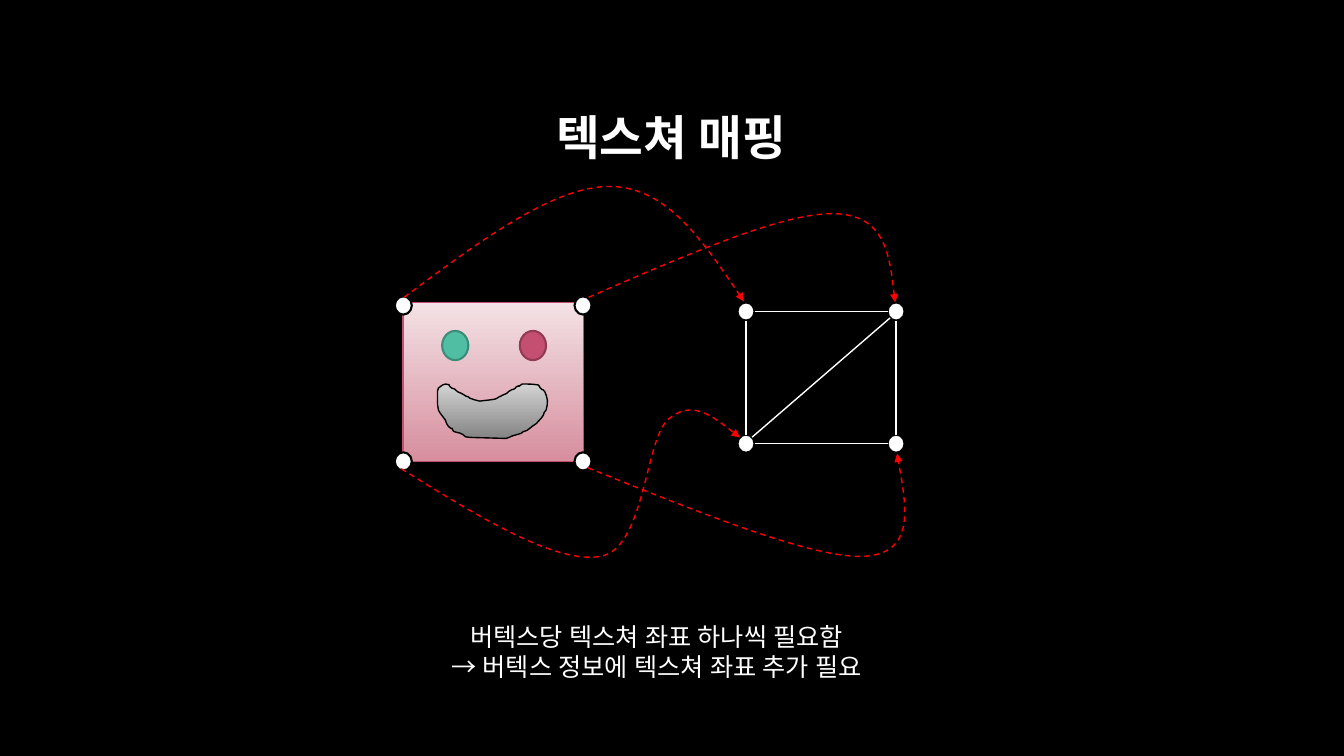
"""Build the texture mapping slide: a textured face mapped onto a two-triangle quad."""
from dataclasses import dataclass
from itertools import product

from lxml import etree
from pptx import Presentation
from pptx import util as u
from pptx.dml.color import RGBColor
from pptx.enum import dml, shapes, text
from pptx.oxml import ns

Point = tuple[float, float]


@dataclass(frozen=True)
class Theme:
    """Colours, font and type sizes of the slide."""
    font: str = "Roboto Slab"
    title_size: float = 34
    note_size: float = 18
    background: str = "000000"
    foreground: str = "FFFFFF"
    mapping: str = "FF0000"
    outline: str = "000000"
    face: tuple[str, str] = ("F3E2E5", "D78E9E")
    face_line: str = "C54F71"
    mouth: tuple[str, str] = ("D3D3D3", "848484")


@dataclass(frozen=True)
class Disc:
    """An ellipse given by its centre and size."""
    centre: Point
    size: Point
    fill: str
    line: str


@dataclass(frozen=True)
class Quad:
    """Four corner vertices on two columns and two rows."""
    columns: Point
    rows: Point


@dataclass(frozen=True)
class Curve:
    """A chain of segments: x, y of an end, or of two controls and an end."""
    start: Point
    segments: tuple[tuple[float, ...], ...]
    origin: Point = (0, 0)
    unit: float = 1

    def place(self, x: float, y: float) -> Point:
        """Turn curve coordinates into slide lengths."""
        return u.Pt(self.origin[0] + x * self.unit), u.Pt(self.origin[1] + y * self.unit)


THEME = Theme()
VERTEX_SIZE = (12.2, 13)
EYE_SIZE = (18.7, 20.9)
TEXTURE = Quad((288.1, 416.5), (218.2, 329.6))
MESH = Quad((532.9, 640.1), (222.5, 316.9))
EYES = (
    Disc((325.2, 246.8), EYE_SIZE, "50BEA3", "3B8D79"),
    Disc((380.7, 246.8), EYE_SIZE, "C54F71", "923A54"),
)
MOUTH = Curve((8, 36), (
    (6, 33, 3, 30, 1, 26), (0, 20), (0, 16, 0, 12, 0, 7), (1, 6, 1, 5, 1, 4),
    (2, 3, 4, 2, 5, 1), (6, 1, 7, 0, 8, 0), (16, 2, 8, -1, 14, 4), (15, 5, 16, 5, 17, 5),
    (19, 7, 21, 9, 23, 9), (25, 10, 27, 11, 28, 12), (30, 12, 31, 13, 32, 14),
    (37, 16, 38, 16, 42, 17), (49, 16, 52, 16, 57, 15), (62, 13, 58, 14, 63, 12),
    (64, 11, 68, 10, 69, 9), (70, 8, 71, 7, 73, 6), (74, 6, 75, 5, 76, 5),
    (77, 5, 77, 4, 78, 3), (86, -1, 76, 6, 84, 0), (89, 0, 95, 0, 100, 1),
    (101, 1, 101, 3, 102, 4), (103, 5, 104, 6, 105, 6), (106, 7, 107, 8, 107, 9),
    (108, 11, 109, 16, 109, 16), (109, 19, 109, 22, 108, 25), (108, 26, 107, 27, 106, 28),
    (106, 29, 106, 30, 105, 31), (104, 33, 102, 35, 100, 37), (99, 38, 98, 40, 97, 40),
    (96, 41, 95, 41, 94, 42), (92, 43, 91, 45, 89, 46), (88, 46, 87, 46, 86, 47),
    (85, 47, 84, 48, 83, 49), (81, 50, 78, 50, 76, 51), (75, 51, 73, 52, 71, 53),
    (68, 54), (33, 53), (24, 52, 30, 53, 25, 50), (23, 49, 21, 48, 19, 48), (16, 47),
    (12, 40, 17, 47, 12, 43), (10, 42, 8, 37, 8, 36),
), origin=(312.5, 274.3), unit=0.72)
MAPPINGS = (
    Curve((288.7, 212.4), ((342.7, 172.1, 396, 132.5, 436.3, 133.2),
                           (476.6, 133.9, 504, 175, 531.4, 215.3))),
    Curve((420.5, 212.4), ((489.6, 182.2, 559.4, 151.9, 595.4, 152.6),
                           (632.2, 153.4, 635.8, 184.3, 639.4, 216))),
    Curve((286.6, 334.8), ((342, 369.4, 397.4, 403.2, 429.1, 397.4),
                           (460.8, 391.7, 460.8, 313.2, 477.4, 299.5),
                           (493.9, 285.1, 511.2, 298.8, 528.5, 312.5))),
    Curve((419.8, 334.1), ((500.4, 366.5, 580.3, 398.9, 617, 397.4),
                           (653.8, 395.3, 647.3, 360, 640.8, 324))),
)


def colour(value: str) -> RGBColor:
    """Turn a hex string into a colour."""
    return RGBColor.from_string(value)


def set_line(line, value: str, width: float) -> None:
    """Give a line its colour and width."""
    line.color.rgb = colour(value)
    line.width = u.Pt(width)


def set_gradient(shape, stops: tuple[str, str]) -> None:
    """Fill a shape from top to bottom."""
    shape.fill.gradient()
    shape.fill.gradient_angle = 270
    for stop, value, position in zip(shape.fill.gradient_stops, stops, (0, 1)):
        stop.color.rgb = colour(value)
        stop.position = position


def add_disc(slide, disc: Disc) -> None:
    """Draw an outlined ellipse."""
    width, height = disc.size
    left, top = disc.centre[0] - width / 2, disc.centre[1] - height / 2
    shape = slide.shapes.add_shape(shapes.MSO_SHAPE.OVAL, u.Pt(left), u.Pt(top),
                                   u.Pt(width), u.Pt(height))
    shape.shadow.inherit = False
    shape.fill.solid()
    shape.fill.fore_color.rgb = colour(disc.fill)
    set_line(shape.line, disc.line, 1.5)


def add_vertices(slide, quad: Quad) -> None:
    """Mark each corner of a quad."""
    for y, x in product(quad.rows, quad.columns):
        add_disc(slide, Disc((x, y), VERTEX_SIZE, THEME.foreground, THEME.outline))


def add_curve(slide, curve: Curve, close: bool):
    """Draw a freeform whose long segments are cubic."""
    builder = slide.shapes.build_freeform(*curve.place(*curve.start), scale=1.0)
    builder.add_line_segments([curve.place(*part[-2:]) for part in curve.segments], close=close)
    shape = builder.convert_to_shape()
    shape.shadow.inherit = False
    steps = list(shape._element.spPr.iter(ns.qn("a:lnTo")))
    for step, part in zip(steps, curve.segments):
        if len(part) == 2:
            continue
        step.tag = ns.qn("a:cubicBezTo")
        controls = [curve.place(*part[:2]), curve.place(*part[2:4])]
        for index, (x, y) in enumerate(controls):
            control = etree.Element(ns.qn("a:pt"), x=str(x - shape.left), y=str(y - shape.top))
            step.insert(index, control)
    return shape


def add_face(slide) -> None:
    """Draw the texture: a square face with eyes and a mouth."""
    face = slide.shapes.add_shape(shapes.MSO_SHAPE.RECTANGLE, u.Pt(287.8), u.Pt(216),
                                  u.Pt(128.9), u.Pt(113.9))
    face.shadow.inherit = False
    set_gradient(face, THEME.face)
    set_line(face.line, THEME.face_line, 1)
    for eye in EYES:
        add_disc(slide, eye)
    mouth = add_curve(slide, MOUTH, close=True)
    set_gradient(mouth, THEME.mouth)
    set_line(mouth.line, THEME.outline, 1)


def add_edge(slide, start: Point, end: Point) -> None:
    """Draw one mesh edge."""
    edge = slide.shapes.add_connector(shapes.MSO_CONNECTOR.STRAIGHT, *map(u.Pt, start + end))
    set_line(edge.line, THEME.foreground, 1)
    etree.SubElement(edge._element.spPr, ns.qn("a:effectLst"))


def add_mesh(slide) -> None:
    """Draw the quad's vertices, sides and diagonal."""
    add_vertices(slide, MESH)
    (left, right), (top, bottom) = MESH.columns, MESH.rows
    gap_x, gap_y = VERTEX_SIZE[0] / 2, VERTEX_SIZE[1] / 2
    for x, y in zip(MESH.columns, MESH.rows):
        add_edge(slide, (x, top + gap_y), (x, bottom - gap_y))
        add_edge(slide, (left + gap_x, y), (right - gap_x, y))
    add_edge(slide, (left + 4.3, bottom - 4.6), (right - 4.3, top + 4.6))


def add_mapping(slide, curve: Curve) -> None:
    """Draw a dashed arrow from a texture corner to a mesh vertex."""
    arrow = add_curve(slide, curve, close=False)
    arrow.fill.background()
    set_line(arrow.line, THEME.mapping, 1)
    arrow.line.dash_style = dml.MSO_LINE.DASH
    line = arrow._element.spPr.find(ns.qn("a:ln"))
    etree.SubElement(line, ns.qn("a:tailEnd"), type="triangle")


def set_text(shape, box: tuple[float, ...], wording: str, size: float, bold: bool) -> None:
    """Place a shape and give it centred text."""
    shape.left, shape.top, shape.width, shape.height = map(u.Pt, box)
    frame = shape.text_frame
    frame.text = wording
    frame.word_wrap = True
    for paragraph in frame.paragraphs:
        paragraph.alignment = text.PP_ALIGN.CENTER
        for run in paragraph.runs:
            run.font.name, run.font.size, run.font.bold = THEME.font, u.Pt(size), bold
            run.font.color.rgb = colour(THEME.foreground)
            etree.SubElement(run.font._element, ns.qn("a:ea"), typeface=THEME.font)


def main() -> None:
    """Build and save the presentation."""
    presentation = Presentation()
    presentation.slide_width, presentation.slide_height = u.Pt(960), u.Pt(540)
    slide = presentation.slides.add_slide(presentation.slide_layouts[5])
    slide.background.fill.solid()
    slide.background.fill.fore_color.rgb = colour(THEME.background)
    title = slide.shapes.title
    set_text(title, (72, 48.2, 815, 104.4), "텍스쳐 매핑", THEME.title_size, True)
    title.text_frame.auto_size = text.MSO_AUTO_SIZE.NONE
    title.text_frame.vertical_anchor = text.MSO_ANCHOR.MIDDLE
    title.text_frame.paragraphs[0].line_spacing = 0.9
    add_face(slide)
    add_mesh(slide)
    add_vertices(slide, TEXTURE)
    for curve in MAPPINGS:
        add_mapping(slide, curve)
    note_box = (213.8, 439.9, 510.5, 51.1)
    note = slide.shapes.add_textbox(*map(u.Pt, note_box))
    set_text(note, note_box, "버텍스당 텍스쳐 좌표 하나씩 필요함\n→ 버텍스 정보에 텍스쳐 좌표 추가 필요",
             THEME.note_size, False)
    note.text_frame.auto_size = text.MSO_AUTO_SIZE.SHAPE_TO_FIT_TEXT
    presentation.save("out.pptx")


if __name__ == "__main__":
    main()
